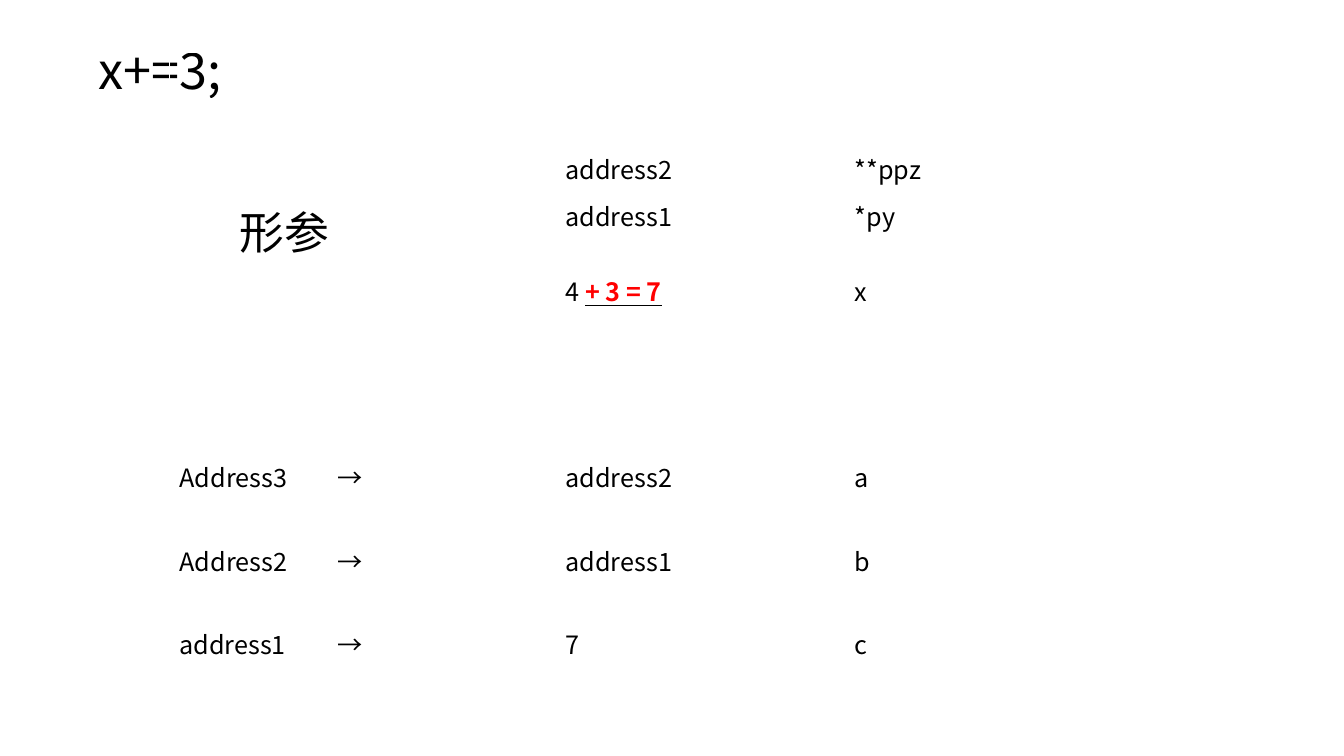
from dataclasses import dataclass

from lxml import etree
from pptx import Presentation
from pptx.dml.color import RGBColor
from pptx.enum.text import MSO_ANCHOR, PP_ALIGN
from pptx.oxml.ns import qn
from pptx.util import Pt

LEFT = PP_ALIGN.LEFT
TOP = MSO_ANCHOR.TOP
TITLE_ONLY = 5


@dataclass(frozen=True)
class Theme:
    font: str = "Noto Sans CJK SC"
    ink: str = "000000"
    accent: str = "FF0000"
    title_size: int = 36
    heading_size: int = 32
    body_size: int = 18


THEME = Theme()

# Each row: label, stored value, variable name
MEMORY_ROWS = [
    ("", "", ""),
    ("", "", ""),
    ("", "address2", "**ppz"),
    ("形参", "address1", "*py"),
    ("", "4 ", "x"),
    ("", "", ""),
    ("", "", ""),
    ("", "", ""),
    ("Address3\t→", "address2", "a"),
    ("Address2\t→", "address1", "b"),
    ("address1\t→", "7", "c"),
    ("", "", ""),
]
COLUMN_WIDTHS = (275.8, 206.6, 127.4)
ROW_HEIGHT, HEADING_ROW_HEIGHT, ADDRESS_ROW_HEIGHT = 33.3, 53.6, 59.4
HEADING_ROW, UPDATED_ROW = 3, 4
HEADING_INDENT, ARROW_TAB = 43, 112.5


def style_paragraph(paragraph, size):
    """Apply the theme font to Latin and East Asian text alike."""
    font = paragraph.font
    font.size = Pt(size)
    font.color.rgb = RGBColor.from_string(THEME.ink)
    font.name = THEME.font
    defaults = paragraph._p.get_or_add_pPr().find(qn("a:defRPr"))
    etree.SubElement(defaults, qn("a:ea"), typeface=THEME.font)


def add_tab_stop(paragraph, position):
    properties = paragraph._p.get_or_add_pPr()
    stops = etree.SubElement(properties, qn("a:tabLst"))
    etree.SubElement(stops, qn("a:tab"), pos=str(Pt(position)), algn="l")


def add_result(paragraph, text):
    """Append a bold accent run with a dark underline."""
    result = paragraph.add_run()
    result.text = text
    result.font.bold = True
    result.font.underline = True
    result.font.color.rgb = RGBColor.from_string(THEME.accent)
    underline = etree.SubElement(result._r.get_or_add_rPr(), qn("a:uFill"))
    fill = etree.SubElement(underline, qn("a:solidFill"))
    etree.SubElement(fill, qn("a:srgbClr"), val=THEME.ink)


def set_title(slide, text):
    title = slide.shapes.title
    title.left, title.top, title.width, title.height = Pt(63.4), Pt(37.4), Pt(480), Pt(39.6)
    title.text_frame.text = text
    title.text_frame.vertical_anchor = TOP
    statement = title.text_frame.paragraphs[0]
    statement.alignment = LEFT
    statement.line_spacing = Pt(30)
    style_paragraph(statement, THEME.title_size)


def fill_cell(cell, text, size):
    cell.fill.background()
    paragraph = cell.text_frame.paragraphs[0]
    if "\t" in text:
        add_tab_stop(paragraph, ARROW_TAB)
    if text:
        paragraph.add_run().text = text
    style_paragraph(paragraph, size)
    return paragraph


def row_height(index, label):
    if index == HEADING_ROW:
        return HEADING_ROW_HEIGHT
    return ADDRESS_ROW_HEIGHT if label else ROW_HEIGHT


def add_memory_table(slide):
    heights = [row_height(i, row[0]) for i, row in enumerate(MEMORY_ROWS)]
    memory = slide.shapes.add_table(
        len(MEMORY_ROWS), len(COLUMN_WIDTHS),
        Pt(121), Pt(37.4), Pt(sum(COLUMN_WIDTHS)), Pt(sum(heights))).table
    memory.first_row = False
    memory.horz_banding = False
    for column, width in zip(memory.columns, COLUMN_WIDTHS):
        column.width = Pt(width)
    for i, (values, height) in enumerate(zip(MEMORY_ROWS, heights)):
        memory.rows[i].height = Pt(height)
        for j, value in enumerate(values):
            is_heading = i == HEADING_ROW and j == 0
            size = THEME.heading_size if is_heading else THEME.body_size
            fill_cell(memory.cell(i, j), value, size)

    # Indented heading and the updated value of x
    heading = memory.cell(HEADING_ROW, 0).text_frame.paragraphs[0]
    heading._p.get_or_add_pPr().set("marL", str(Pt(HEADING_INDENT)))
    add_result(memory.cell(UPDATED_ROW, 1).text_frame.paragraphs[0], "+ 3 = 7")


def main():
    presentation = Presentation()
    presentation.slide_width, presentation.slide_height = Pt(960), Pt(540)
    slide = presentation.slides.add_slide(presentation.slide_layouts[TITLE_ONLY])
    add_memory_table(slide)
    set_title(slide, "x+=3;")
    presentation.save("out.pptx")


if __name__ == "__main__":
    main()
